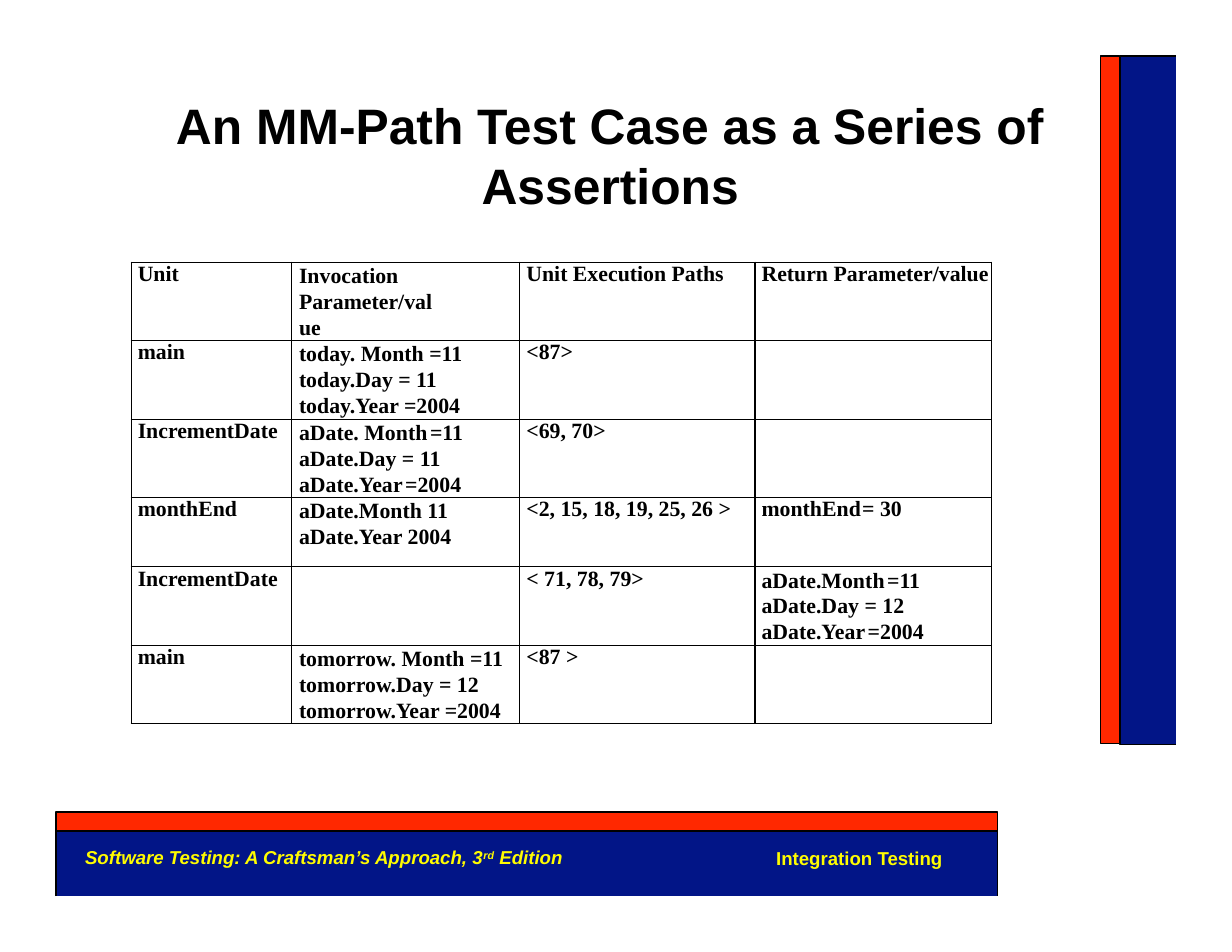
from lxml import etree
from pptx import Presentation
from pptx.dml.color import RGBColor
from pptx.enum.shapes import MSO_CONNECTOR as Connector, MSO_SHAPE as Shape
from pptx.enum.text import PP_ALIGN as Align
from pptx.oxml.ns import qn
from pptx.util import Inches, Pt

THEME = {
    "navy": "021587", "red": "FF2800", "yellow": "FFFC00", "black": "000000",
    "sans": "Arial", "serif": "Times New Roman",
    "title": 32, "body": 14, "footer": 12, "outline": 0.72, "hairline": 0.25,
}

# Run settings: raised text in 1/1000 %, letter spacing in 1/100 pt
RAISED = {"baseline": "28000"}
LOOSE = {"spc": "160"}
SLIGHTLY_LOOSE = {"spc": "70"}

TITLE = "An MM-Path Test Case as a Series of Assertions"
BOOK = [("Software Testing: A Craftsman’s Approach, 3", {}), ("rd", RAISED),
        (" Edition", {})]
CHAPTER = "Integration Testing"

YEAR = [("aDate.Yea", {}), ("r", LOOSE), ("=2004", {})]
ROWS = [
    [["Unit"], ["Invocation Parameter/value"], ["Unit Execution Paths"],
     ["Return Parameter/value"]],
    [["main"], ["today. Month =11", "today.Day = 11", "today.Year =2004"], ["<87>"], []],
    [["IncrementDate"],
     [[("aDate. Mont", {}), ("h", LOOSE), ("=11", {})], "aDate.Day = 11", YEAR],
     ["<69, 70>"], []],
    [["monthEnd"], ["aDate.Month 11", "aDate.Year 2004"],
     ["<2, 15, 18, 19, 25, 26 >"],
     [[("monthEn", {}), ("d", SLIGHTLY_LOOSE), ("= 30", {})]]],
    [["IncrementDate"], [], ["< 71, 78, 79>"],
     [[("aDate.Mont", {}), ("h", LOOSE), ("=11", {})], "aDate.Day = 12", YEAR]],
    [["main"], ["tomorrow. Month =11", "tomorrow.Day = 12", "tomorrow.Year =2004"],
     ["<87 >"], []],
]
TABLE_LEFT, TABLE_TOP = 1.17, 2.34
COLUMN_WIDTHS = [1.43, 2.04, 2.1, 2.11]
ROW_HEIGHTS = [0.7, 0.7, 0.7, 0.62, 0.7, 0.7]
COLUMN_RULES = [0.82, 0.82, 0.58, 1.06, 0.58]
ROW_RULES = [0.82, 0.58, 0.58, 1.06, 0.82, 0.82, 0.82]
CORNER_TICK = (8.85, 2.35, 8.86, 2.35)

# Each band: left, top, width, height
RED_BANDS = [(9.83, 0.5, 0.17, 6.14), (0.5, 7.25, 8.41, 0.17)]
NAVY_BANDS = [(10, 0.5, 0.5, 6.15), (0.5, 7.42, 8.41, 0.58)]
# Navy bands are outlined on three sides only
NAVY_OUTLINES = [
    [(10.5, 0.5), (10, 0.5), (10, 6.65), (10.5, 6.65)],
    [(0.5, 8), (0.5, 7.42), (8.91, 7.42), (8.91, 8)],
]


def color(name):
    return RGBColor.from_string(THEME[name])


def write(frame, paragraphs, *, font, size, ink="black", italic=False,
          align=Align.LEFT, spacing=None, kerning=True):
    """Fill a text frame; a paragraph is a string or a list of (text, settings)."""
    frame.word_wrap = True
    frame.margin_left = frame.margin_top = frame.margin_right = frame.margin_bottom = 0
    for index, content in enumerate(paragraphs):
        paragraph = frame.add_paragraph() if index else frame.paragraphs[0]
        paragraph.alignment = align
        if spacing:
            paragraph.line_spacing = spacing
        for text, settings in [(content, {})] if isinstance(content, str) else content:
            run = paragraph.add_run()
            run.text = text
            run.font.name, run.font.size = THEME[font], Pt(THEME[size])
            run.font.bold, run.font.italic = True, italic
            run.font.color.rgb = color(ink)
            if not kerning:
                run.font._element.set("kern", "0")
            for key, value in settings.items():
                run.font._element.set(key, value)


def add_text(slide, box, paragraphs, **style):
    write(slide.shapes.add_textbox(*map(Inches, box)).text_frame, paragraphs, **style)


def outline(shape, weight="outline"):
    shape.line.color.rgb = color("black")
    shape.line.width = Pt(THEME[weight])


def add_band(slide, box, fill):
    band = slide.shapes.add_shape(Shape.RECTANGLE, *map(Inches, box))
    band.shadow.inherit = False
    band.fill.solid()
    band.fill.fore_color.rgb = color(fill)
    band.line.fill.background()
    return band


def add_open_outline(slide, points):
    start, *rest = [(Inches(x), Inches(y)) for x, y in points]
    builder = slide.shapes.build_freeform(*start)
    builder.add_line_segments(rest, close=False)
    edge = builder.convert_to_shape()
    edge.shadow.inherit = False
    edge.fill.background()
    outline(edge)


def add_tick(slide, ends):
    tick = slide.shapes.add_connector(Connector.STRAIGHT, *map(Inches, ends))
    outline(tick, "hairline")
    etree.SubElement(tick._element.spPr, qn("a:effectLst"))


def set_borders(cell, widths):
    """Draw the cell's borders; widths run left, right, top, bottom in points."""
    properties = cell._tc.get_or_add_tcPr()
    for position, (side, width) in enumerate(zip("LRTB", widths)):
        border = etree.Element(qn(f"a:ln{side}"), w=str(int(Pt(width))))
        fill = etree.SubElement(border, qn("a:solidFill"))
        etree.SubElement(fill, qn("a:srgbClr"), val=THEME["black"])
        properties.insert(position, border)


def add_assertions(slide):
    frame = slide.shapes.add_table(
        len(ROWS), len(COLUMN_WIDTHS), Inches(TABLE_LEFT), Inches(TABLE_TOP),
        Inches(sum(COLUMN_WIDTHS)), Inches(sum(ROW_HEIGHTS)))
    table = frame.table
    table.first_row = table.horz_banding = False
    for column, width in zip(table.columns, COLUMN_WIDTHS):
        column.width = Inches(width)
    for r, (row, height) in enumerate(zip(ROWS, ROW_HEIGHTS)):
        table.rows[r].height = Inches(height)
        for c, lines in enumerate(row):
            cell = table.cell(r, c)
            cell.fill.background()
            invocation_header = (r, c) == (0, 1)
            exact = len(lines) > 1 or invocation_header
            write(cell.text_frame, lines, font="serif", size="body", kerning=False,
                  spacing=Pt(16.7) if exact else None)
            cell.margin_left = Inches(0.07 if c == 1 else 0.06)
            cell.margin_right = Inches(0.7 if invocation_header else 0)
            cell.margin_top = cell.margin_bottom = 0
            set_borders(cell, COLUMN_RULES[c:c + 2] + ROW_RULES[r:r + 2])


def main():
    deck = Presentation()
    deck.slide_width, deck.slide_height = Inches(11), Inches(8.5)
    slide = deck.slides.add_slide(deck.slide_layouts[6])

    for box, points in zip(NAVY_BANDS, NAVY_OUTLINES):
        add_band(slide, box, "navy")
        add_open_outline(slide, points)
    for box in RED_BANDS:
        outline(add_band(slide, box, "red"))

    add_text(slide, (1.45, 0.85, 8, 1), [TITLE], font="sans", size="title",
             align=Align.CENTER)
    add_tick(slide, CORNER_TICK)
    add_text(slide, (0.76, 7.55, 4.6, 0.21), [BOOK], font="sans", size="footer",
             ink="yellow", italic=True)
    add_text(slide, (6.93, 7.56, 1.7, 0.19), [CHAPTER], font="sans", size="footer",
             ink="yellow")
    add_assertions(slide)
    deck.save("out.pptx")


if __name__ == "__main__":
    main()
